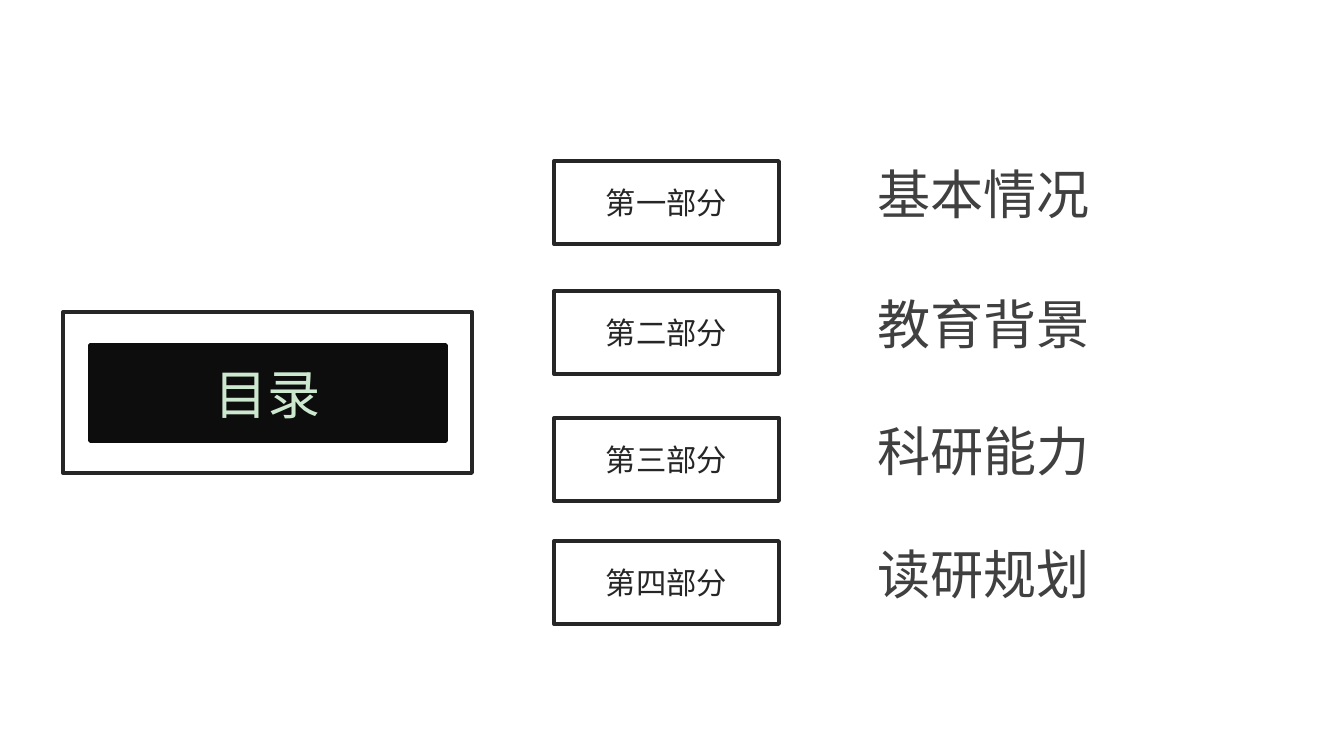
from pptx import Presentation
from pptx.dml.color import RGBColor
from pptx.enum.shapes import MSO_SHAPE
from pptx.enum.text import MSO_ANCHOR, MSO_AUTO_SIZE, PP_ALIGN
from pptx.oxml.ns import qn
from pptx.util import Pt
from lxml.etree import SubElement

# Content: label, topic, top in px
HEAD = "目录"
PARTS = [
    ("第一部分", "基本情况", 161),
    ("第二部分", "教育背景", 291),
    ("第三部分", "科研能力", 418),
    ("第四部分", "读研规划", 541),
]
FONT = "Noto Sans CJK SC"
INK, BLACK, GRAY, MINT = "262626", "0D0D0D", "404040", "CCE8CF"
SCALE = 6694  # EMU in one px


def px(*vals):
    return [v * SCALE for v in vals]


def rgb(code):
    return RGBColor.from_string(code)


def write(shape, text, size, color):
    frame = shape.text_frame
    frame.text = text
    frame.auto_size = MSO_AUTO_SIZE.NONE
    frame.vertical_anchor = MSO_ANCHOR.MIDDLE
    para = frame.paragraphs[0]
    para.alignment = PP_ALIGN.CENTER
    font = para.runs[0].font
    font.size, font.name = Pt(size), FONT
    font.color.rgb = rgb(color)
    SubElement(para.runs[0].font._element, qn("a:ea"), typeface=FONT)


def outline(shape, color):
    shape.line.color.rgb = rgb(color)
    shape.line.width = Pt(2)


def frame_box(*box):
    shape = slide.shapes.add_shape(MSO_SHAPE.RECTANGLE, *px(*box))
    shape.shadow.inherit = False
    shape.fill.background()
    outline(shape, INK)
    return shape


deck = Presentation()
deck.slide_width, deck.slide_height = px(1344, 753)
slide = deck.slides.add_slide(deck.slide_layouts[5])

# Title in its double frame
frame_box(63, 312, 409, 161)
title = slide.shapes.title
title.left, title.top, title.width, title.height = px(90, 345, 356, 96)
title.fill.solid()
title.fill.fore_color.rgb = rgb(BLACK)
outline(title, BLACK)
write(title, HEAD, 28, MINT)

# One row for each part
for label, topic, top in PARTS:
    write(frame_box(554, top, 225, 83), label, 16, INK)
    note = slide.shapes.add_textbox(*px(876, top, 215, 64))
    write(note, topic, 28, GRAY)
    area = note.text_frame
    area.word_wrap = False
    area.margin_left = area.margin_right = 0
    area.margin_top = area.margin_bottom = 0

deck.save("out.pptx")
